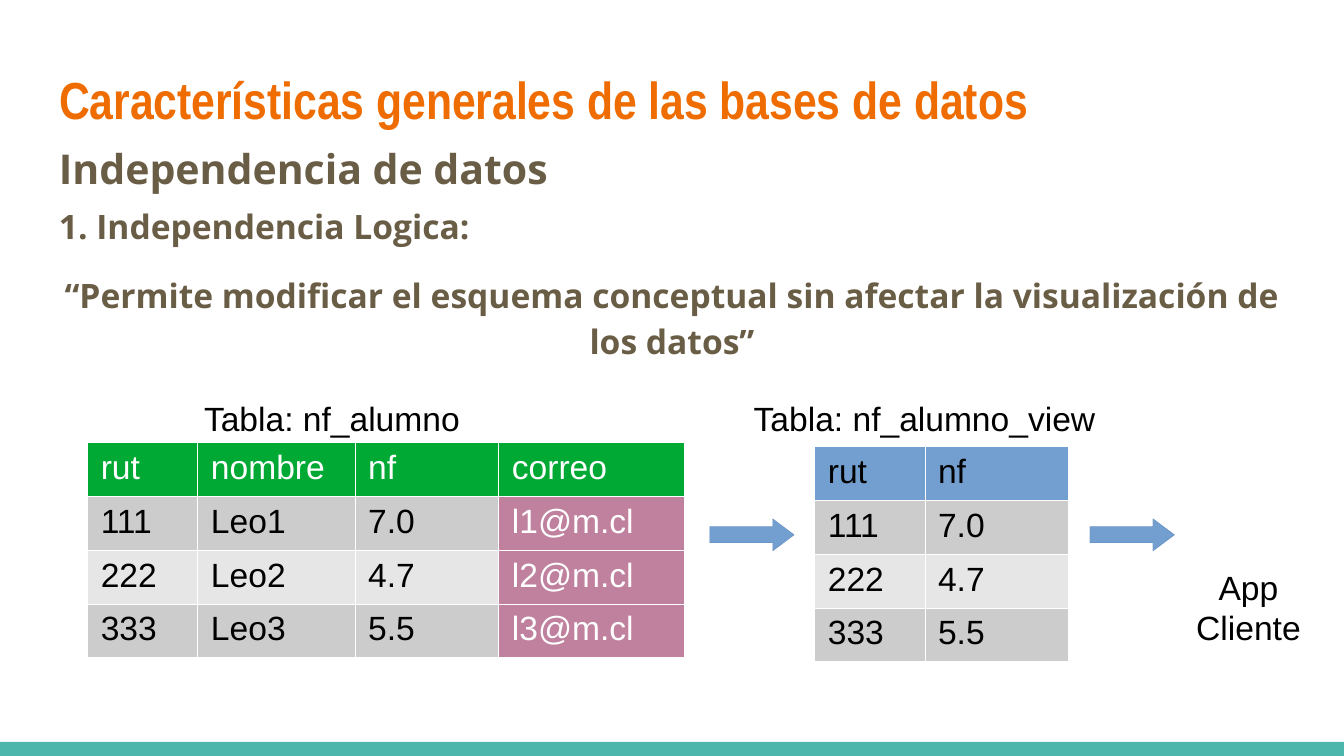
from dataclasses import dataclass

from lxml.etree import SubElement
from pptx import Presentation
from pptx.dml.color import RGBColor as RGB
from pptx.enum.shapes import MSO_SHAPE as Shape
from pptx.enum.text import MSO_ANCHOR as Anchor, PP_ALIGN as Align
from pptx.oxml.ns import qn
from pptx.util import Inches, Pt


@dataclass(frozen=True)
class Theme:
    orange: str = "EF6C00"
    brown: str = "695D46"
    teal: str = "4DB6AC"
    green: str = "00A933"
    blue: str = "729FCF"
    navy: str = "3465A4"
    pink: str = "BF819E"
    dark: str = "CCCCCC"
    light: str = "E6E6E6"
    white: str = "FFFFFF"
    black: str = "000000"
    head: str = "Arial Narrow"
    body: str = "Open Sans"
    plain: str = "Arial"
    title: float = 27.9
    sub: float = 22
    text: float = 18
    rule: float = 0.06


T = Theme()
ROW = 0.38


def paint(shape, fill, line=None):
    shape.shadow.inherit = False
    shape.fill.solid()
    shape.fill.fore_color.rgb = RGB.from_string(fill)
    if line:
        shape.line.color.rgb = RGB.from_string(line)
        shape.line.width = Pt(T.rule)
    else:
        shape.line.fill.background()


def write(frame, *lines, size=T.text, font=T.plain, color=T.black,
          bold=False, align=Align.LEFT, space=None, gap=0, pad=0.05):
    """Fill a text frame, one paragraph for each line."""
    frame.word_wrap = True
    frame.margin_left = frame.margin_right = Inches(0.1)
    frame.margin_top = frame.margin_bottom = Inches(pad)
    for i, line in enumerate(lines):
        para = frame.paragraphs[0] if i == 0 else frame.add_paragraph()
        para.text = line
        para.alignment = align[i] if isinstance(align, tuple) else align
        para.space_before = Pt(gap if i else 0)
        if space:
            para.line_spacing = space
        face = para.font
        face.size, face.name, face.bold = Pt(size), font, bold
        face.color.rgb = RGB.from_string(color)


def label(slide, box, *lines, **form):
    text = slide.shapes.add_textbox(*map(Inches, box))
    write(text.text_frame, *lines, **form)


def edge(cell):
    """Draw thin white borders, which must precede the cell's fill."""
    props = cell._tc.get_or_add_tcPr()
    for side in ("a:lnL", "a:lnR", "a:lnT", "a:lnB"):
        line = SubElement(props, qn(side), w=str(int(Pt(T.rule))))
        fill = SubElement(line, qn("a:solidFill"))
        SubElement(fill, qn("a:srgbClr"), val=T.white)


def grid(slide, x, y, widths, rows, head, ink, mark=None):
    """Place a banded table; mark is the column to highlight."""
    size = (sum(widths), ROW * len(rows))
    table = slide.shapes.add_table(
        len(rows), len(widths), *map(Inches, (x, y, *size))).table
    for col, width in zip(table.columns, widths):
        col.width = Inches(width)
    for r, row in enumerate(rows):
        table.rows[r].height = Inches(ROW)
        for c, value in enumerate(row):
            if r == 0:
                fill, color = head, ink
            elif c == mark:
                fill, color = T.pink, T.white
            else:
                fill, color = (T.dark if r % 2 else T.light), T.black
            cell = table.cell(r, c)
            edge(cell)
            cell.fill.solid()
            cell.fill.fore_color.rgb = RGB.from_string(fill)
            write(cell.text_frame, value, color=color)
            cell.margin_left = cell.margin_right = Inches(0.1)
            cell.margin_top = cell.margin_bottom = Inches(0.05)


def arrow(slide, x, y):
    shape = slide.shapes.add_shape(
        Shape.RIGHT_ARROW, *map(Inches, (x, y, 0.63, 0.24)))
    shape.adjustments[0] = 0.5
    shape.adjustments[1] = 0.67
    paint(shape, T.blue, T.navy)


def intro(slide, x, y, w):
    """Title, subtitle and definition."""
    title = slide.shapes.title
    title.left, title.top, title.width, title.height = map(
        Inches, (x, y, w, 0.77))
    frame = title.text_frame
    frame.vertical_anchor = Anchor.TOP
    write(frame, "Características generales de las bases de datos",
          size=T.title, font=T.head, color=T.orange, bold=True,
          space=0.8, pad=0.1)
    form = dict(font=T.body, color=T.brown, bold=True)
    label(slide, (x, y + 0.9, w, 3.61), "1. Independencia Logica:",
          "“Permite modificar el esquema conceptual sin afectar la "
          "visualización de los datos”",
          align=(Align.LEFT, Align.CENTER), space=1.15, gap=12, pad=0.1,
          **form)
    label(slide, (x, y + 0.53, 4.32, 0.52), "Independencia de datos",
          size=T.sub, **form)


def flow(slide, x, y):
    """Source table, its view and the client, joined by arrows."""
    data = [("rut", "nombre", "nf", "correo"),
            ("111", "Leo1", "7.0", "l1@m.cl"),
            ("222", "Leo2", "4.7", "l2@m.cl"),
            ("333", "Leo3", "5.5", "l3@m.cl")]
    view = [(row[0], row[2]) for row in data]
    grid(slide, x, y + 0.38, (0.82, 1.17, 1.07, 1.38), data,
         T.green, T.white, mark=3)
    label(slide, (x + 0.77, y, 2.2, 0.66), "Tabla: nf_alumno")
    arrow(slide, x + 4.63, y + 0.95)
    grid(slide, x + 5.41, y + 0.41, (0.82, 1.07), view, T.blue, T.black)
    label(slide, (x + 4.86, y, 2.76, 0.41), "Tabla: nf_alumno_view")
    arrow(slide, x + 7.46, y + 0.95)
    label(slide, (x + 8.01, y + 1.26, 1.26, 0.94), "App", "Cliente",
          align=Align.CENTER)


def footer(slide, x, y, w, h):
    bar = slide.shapes.add_shape(
        Shape.RECTANGLE, *map(Inches, (x, y, w, h)))
    paint(bar, T.teal)


def main():
    deck = Presentation()
    deck.slide_width = Inches(10)
    deck.slide_height = deck.slide_width * 9 // 16
    slide = deck.slides.add_slide(deck.slide_layouts[5])
    footer(slide, 0, 5.52, 10, 0.11)
    intro(slide, 0.34, 0.49, 9.32)
    flow(slide, 0.65, 2.91)
    deck.save("out.pptx")


if __name__ == "__main__":
    main()
